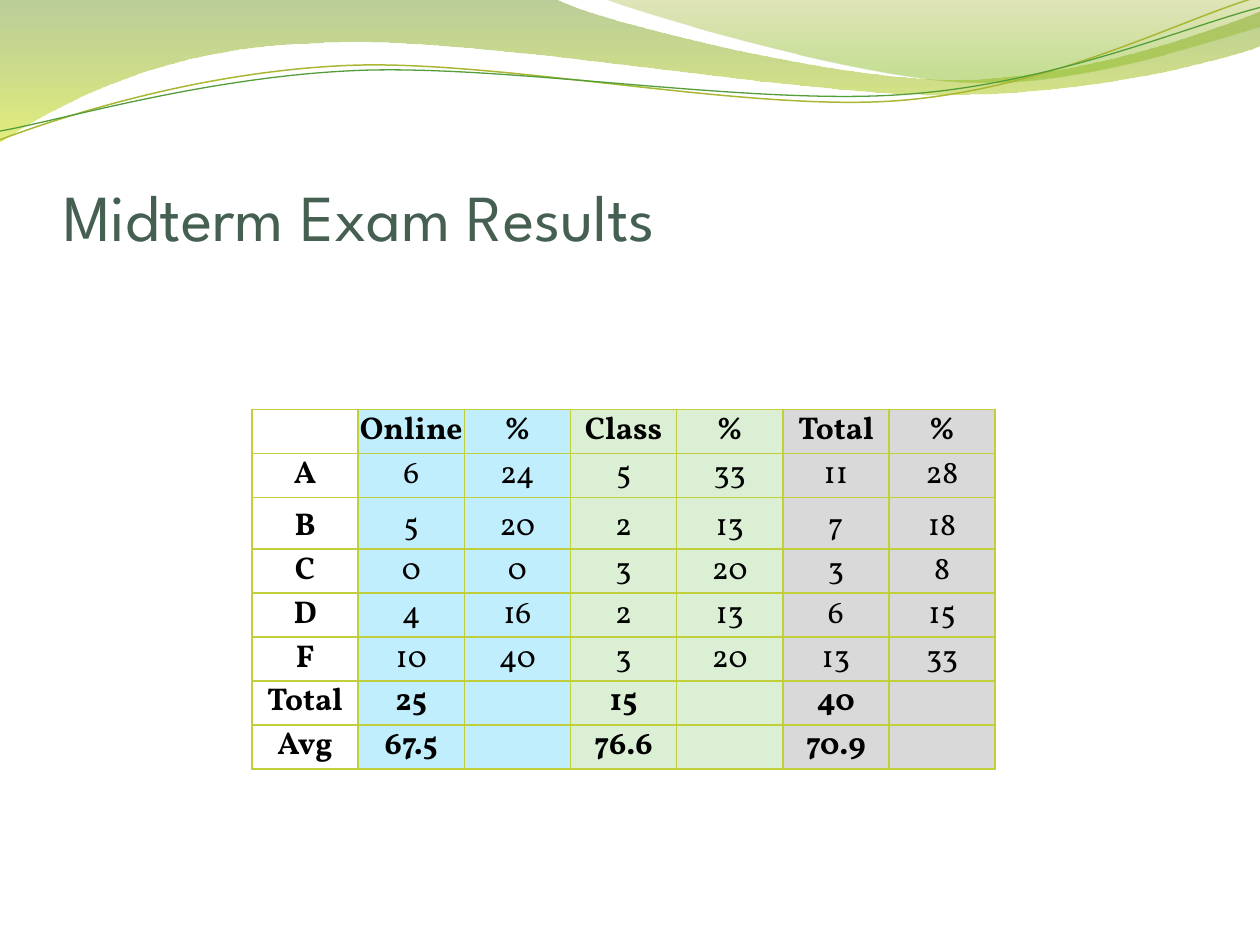
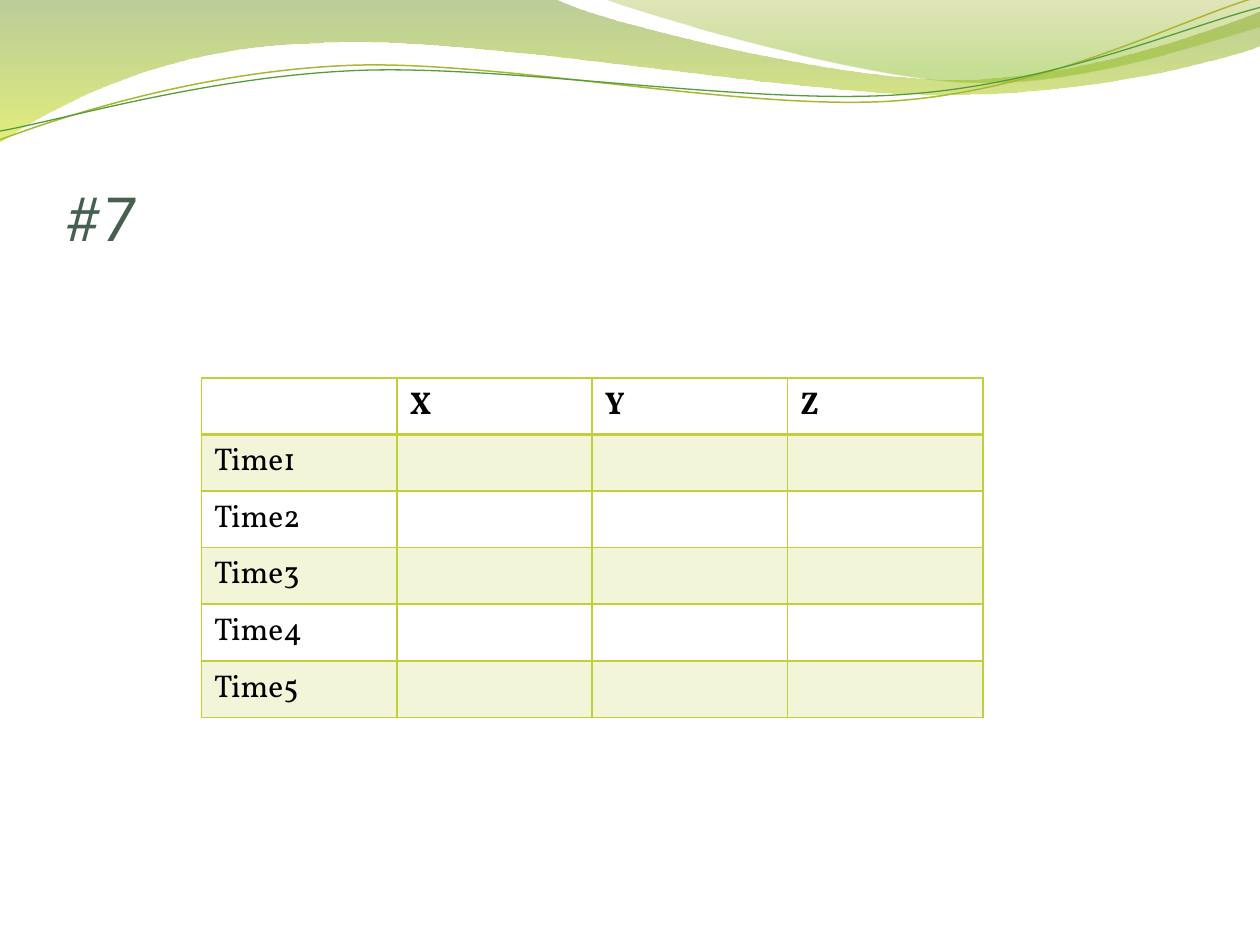
"""Build two exam result slides under a shared wave banner."""
from dataclasses import dataclass
from math import cos, radians, sin
from typing import Optional

from lxml.etree import SubElement
from pptx import Presentation
from pptx.dml.color import RGBColor
from pptx.enum.text import MSO_ANCHOR, PP_ALIGN
from pptx.oxml.ns import qn
from pptx.util import Emu, Inches, Pt

WIDE, HIGH = Inches(10), Inches(7.5)
COLS, ROWS = 200, 150


@dataclass(frozen=True)
class Theme:
    title: str = "455F51"
    text: str = "000000"
    edge: str = "C0CF3A"
    blue: str = "C1EEFC"
    green: str = "DBEFD4"
    gray: str = "D9D9D9"
    head: str = "League Spartan"
    body: str = "Vollkorn"
    big: float = 37.5
    small: float = 18


@dataclass(frozen=True)
class Box:
    left: float
    top: float
    width: float
    height: float


@dataclass(frozen=True)
class Stop:
    spot: float
    color: str
    alpha: int


@dataclass(frozen=True)
class Wave:
    start: tuple
    steps: tuple
    stops: tuple = ()
    line: str = ""
    width: float = 0
    turn: float = 0
    pivot: tuple = (0, 0)


@dataclass(frozen=True)
class Look:
    bold: bool = False
    fill: str = ""
    alpha: int = 100
    top: float = 1
    base: float = 1


@dataclass(frozen=True)
class Grid:
    box: Box
    data: tuple
    rows: tuple
    inset: Optional[float] = None
    align: PP_ALIGN = PP_ALIGN.LEFT
    anchor: MSO_ANCHOR = MSO_ANCHOR.TOP


THEME = Theme()
TITLE = Box(10, 15.4, 180, 25)
WAVES = (
    Wave((0, 0), ((4.4, -0.01), (4.75, 0.17, 6.63, 0.63, 7.58, 0.63),
                  (8.53, 0.63, 9.58, 0.26, 10, 0.09), (10.01, 0.36),
                  (9.83, 0.44, 8.69, 0.76, 7.46, 0.75),
                  (6.22, 0.75, 3.81, 0.28, 2.57, 0.34),
                  (1.29, 0.36, 0.46, 0.83, -0.01, 1.13), (0, 0)),
         stops=(Stop(0, "69921C", 45), Stop(1, "CCE10F", 55))),
    Wave((4.79, -0.01), ((5.09, 0.11, 6.82, 0.62, 7.68, 0.65),
                         (8.55, 0.69, 9.61, 0.32, 10, 0.21), (10, 0),
                         (4.79, -0.01)),
         stops=(Stop(0, "9BAA1A", 30), Stop(0.8, "81BA16", 45))),
    Wave((0, 1.11), ((0.48, 0.93, 1.57, 0.57, 2.76, 0.52),
                     (3.95, 0.47, 5.92, 0.89, 7.12, 0.8),
                     (8.33, 0.71, 9.38, 0.15, 9.97, -0.02)),
         line="A9B733", width=0.85, turn=-2.7, pivot=(4.99, 0.57)),
    Wave((0, 1.04), ((0.47, 0.96, 1.63, 0.61, 2.83, 0.56),
                     (4.02, 0.51, 5.97, 0.84, 7.17, 0.75),
                     (8.36, 0.67, 9.41, 0.21, 10, 0.06)),
         line="549E39", width=0.75, turn=-2.7, pivot=(5, 0.59)),
)
MARKS = Grid(
    Box(40, 65, 118, 50.8),
    (("", "Online", "%", "Class", "%", "Total", "%"),
     ("A", "6", "24", "5", "33", "11", "28"),
     ("B", "5", "20", "2", "13", "7", "18"),
     ("C", "0", "0", "3", "20", "3", "8"),
     ("D", "4", "16", "2", "13", "6", "15"),
     ("F", "10", "40", "3", "20", "13", "33"),
     ("Total", "25", "", "15", "", "40", ""),
     ("Avg", "67.5", "", "76.6", "", "70.9", "")),
    (3.6, 3.6, 8.2, 3.6, 3.6, 5.2, 6.2, 3.6),
    inset=0, align=PP_ALIGN.CENTER, anchor=MSO_ANCHOR.BOTTOM)
TIMES = Grid(
    Box(32, 60, 124, 48.6),
    (("", "X", "Y", "Z"),
     *((f"Time{n}", "", "", "") for n in range(1, 6))),
    (8.1,) * 6)


def across(cols: float) -> Emu:
    """Turn grid columns into a length."""
    return Emu(round(WIDE * cols / COLS))


def down(rows: float) -> Emu:
    """Turn grid rows into a length."""
    return Emu(round(HIGH * rows / ROWS))


def frame(box: Box) -> tuple:
    """Give the left, top, width and height of a box."""
    return across(box.left), down(box.top), across(box.width), down(box.height)


def rgb(code: str) -> RGBColor:
    """Turn a hex code into a colour."""
    return RGBColor.from_string(code)


def fade(node, alpha: int) -> None:
    """Set the opacity of a colour element in percent."""
    SubElement(node, qn("a:alpha")).set("val", str(alpha * 1000))


def write(para, text: str, face: str, size: float, color: str,
          bold: bool = False) -> None:
    """Add one formatted run to a paragraph."""
    run = para.add_run()
    run.text = text
    font = run.font
    font.name, font.size, font.bold = face, Pt(size), bold
    font.color.rgb = rgb(color)


def level(wave: Wave, x: float, y: float) -> tuple:
    """Give a point as it lies before the wave is turned."""
    angle, (px, py) = radians(-wave.turn), wave.pivot
    dx, dy = x - px, y - py
    return (Inches(px + dx * cos(angle) - dy * sin(angle)),
            Inches(py + dx * sin(angle) + dy * cos(angle)))


def bend(shape, wave: Wave) -> None:
    """Join each three lines of a curved step into one Bezier curve."""
    lines = list(shape.element.iter(qn("a:lnTo")))
    for step in wave.steps:
        count = len(step) // 2
        group, lines = lines[:count], lines[count:]
        if count == 3:
            group[0].tag = qn("a:cubicBezTo")
            for line in group[1:]:
                group[0].append(line[0])
                line.getparent().remove(line)


def sweep(slide, wave: Wave):
    """Draw one wave and return its shape."""
    dots = [level(wave, *step[n:n + 2]) for step in wave.steps
            for n in range(0, len(step), 2)]
    pen = slide.shapes.build_freeform(*level(wave, *wave.start))
    pen.add_line_segments(dots, close=bool(wave.stops))
    shape = pen.convert_to_shape()
    bend(shape, wave)
    shape.rotation = wave.turn
    shape.shadow.inherit = False
    if wave.line:
        shape.fill.background()
        shape.line.color.rgb = rgb(wave.line)
        shape.line.width = Pt(wave.width)
        return shape
    shape.line.fill.background()
    shape.fill.gradient()
    shape.fill.gradient_angle = 270
    for mark, stop in zip(shape.fill.gradient_stops, wave.stops):
        mark.position = stop.spot
        mark.color.rgb = rgb(stop.color)
    for node, stop in zip(shape.element.iter(qn("a:gs")), wave.stops):
        fade(node[0], stop.alpha)
    return shape


def share(deck, slide) -> None:
    """Put the waves on the master, behind its placeholders."""
    tree = deck.slide_master.shapes.element
    for rank, wave in enumerate(WAVES):
        item = sweep(slide, wave).element
        item.nvSpPr.cNvPr.set("id", str(100 + rank))
        tree.insert(2 + rank, item)


def start(deck, text: str):
    """Add a slide with its title."""
    slide = deck.slides.add_slide(deck.slide_layouts[5])
    title = slide.shapes.title
    title.left, title.top, title.width, title.height = frame(TITLE)
    body = title.text_frame
    body.margin_left = body.margin_right = body.margin_bottom = 0
    body.margin_top = Inches(0.05)
    body.vertical_anchor = MSO_ANCHOR.BOTTOM
    para = body.paragraphs[0]
    para.alignment = PP_ALIGN.LEFT
    write(para, text, THEME.head, THEME.big, THEME.title)
    return slide


def border(cell, look: Look) -> None:
    """Draw the four edges of a cell."""
    props = cell._tc.get_or_add_tcPr()
    for side, width in zip("LRTB", (1, 1, look.top, look.base)):
        line = SubElement(props, qn(f"a:ln{side}"), w=str(Pt(width)))
        fill = SubElement(line, qn("a:solidFill"))
        SubElement(fill, qn("a:srgbClr"), val=THEME.edge)


def paint(cell, look: Look) -> None:
    """Fill a cell, or leave it clear."""
    if not look.fill:
        cell.fill.background()
        return
    cell.fill.solid()
    cell.fill.fore_color.rgb = rgb(look.fill)
    if look.alpha < 100:
        fade(cell._tc.tcPr.find(qn("a:solidFill"))[0], look.alpha)


def score(row: int, col: int) -> Look:
    """Style exam cells by pairs of columns."""
    tints = ("", THEME.blue, THEME.green, THEME.gray)
    return Look(row in (0, 6, 7) or col == 0, tints[(col + 1) // 2])


def band(row: int, col: int) -> Look:
    """Style time cells by alternate rows."""
    return Look(row == 0, THEME.edge if row % 2 else "", 20,
                top=2 if row == 1 else 1, base=2 if row == 0 else 1)


def chart(slide, grid: Grid, style) -> None:
    """Add a table whose cells are styled by row and column."""
    wide = len(grid.data[0])
    holder = slide.shapes.add_table(len(grid.data), wide, *frame(grid.box))
    table = holder.table
    table.first_row = table.horz_banding = False
    for col in table.columns:
        col.width = across(grid.box.width / wide)
    for row, size in zip(table.rows, grid.rows):
        row.height = down(size)
    holder.height = down(grid.box.height)
    for r, line in enumerate(grid.data):
        for c, text in enumerate(line):
            cell, look = table.cell(r, c), style(r, c)
            border(cell, look)
            paint(cell, look)
            cell.vertical_anchor = grid.anchor
            if grid.inset is not None:
                cell.margin_left = cell.margin_right = Inches(grid.inset)
                cell.margin_top = cell.margin_bottom = Inches(grid.inset)
            para = cell.text_frame.paragraphs[0]
            para.alignment = grid.align
            if text:
                write(para, text, THEME.body, THEME.small, THEME.text,
                      look.bold)


def main() -> None:
    """Build and save the deck."""
    deck = Presentation()
    deck.slide_width, deck.slide_height = WIDE, HIGH
    exam = start(deck, "Midterm Exam Results")
    share(deck, exam)
    chart(exam, MARKS, score)
    chart(start(deck, "#7"), TIMES, band)
    deck.save("out.pptx")


if __name__ == "__main__":
    main()
